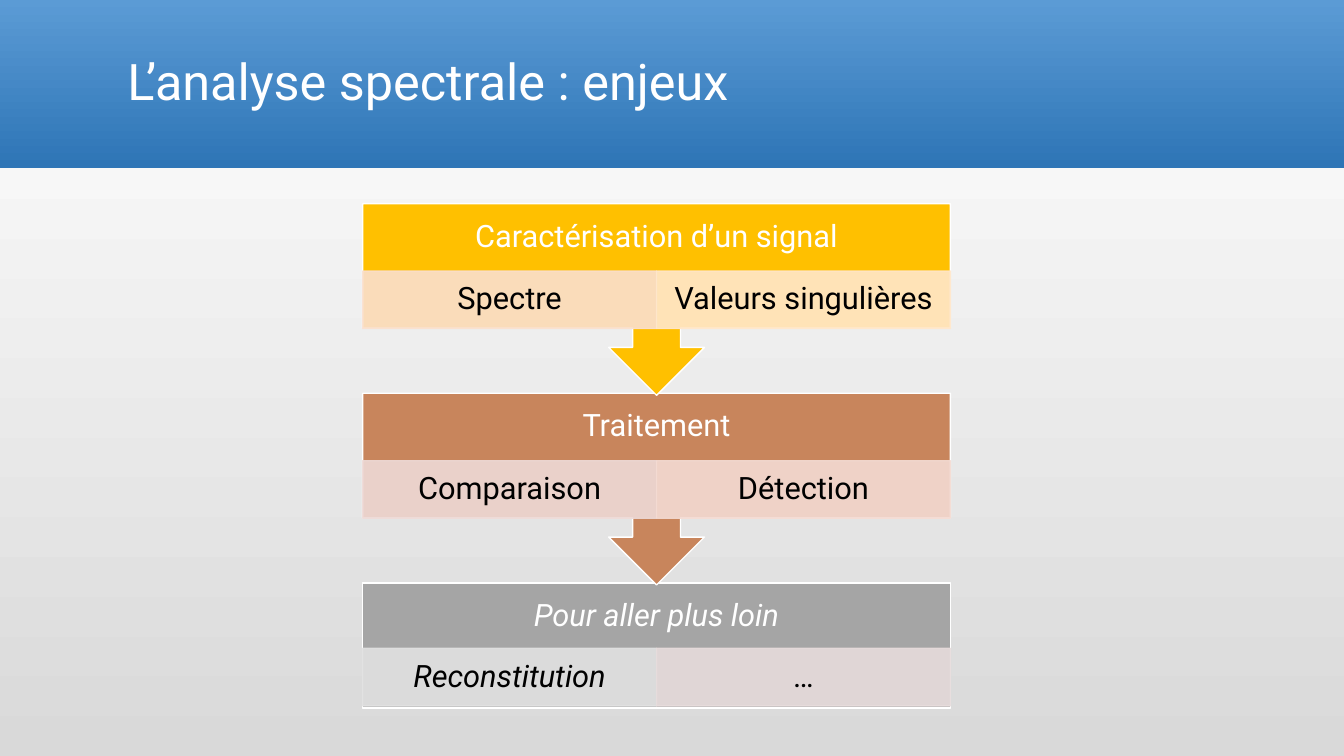
"""Build the slide on the aims of spectral analysis."""
import dataclasses

import lxml.etree
import pptx
import pptx.dml.color
import pptx.enum.shapes
import pptx.enum.text
import pptx.oxml.ns
import pptx.util

Cm = pptx.util.Cm
Pt = pptx.util.Pt
Shape = pptx.enum.shapes.MSO_SHAPE
Align = pptx.enum.text.PP_ALIGN


@dataclasses.dataclass(frozen=True)
class Theme:
    """Colours, font and type sizes of the slide."""
    font: str = "Roboto"
    title_size: int = 36
    body_size: int = 22
    light: str = "FFFFFF"
    dark: str = "000000"
    band: tuple = ("5B9BD5", "2E75B6")
    background: tuple = ("D9D9D9", "FFFFFF")
    stages: tuple = ("FFC000", "C8855C", "A5A5A5")
    cells: tuple = (("FAE0CF", "FFE7CB"), ("EEDAD7", "F4DBD3"), ("E1E1E1", "E7DCDC"))
    cell_opacity: int = 90


STAGES = (
    ("Caractérisation d’un signal", ("Spectre", "Valeurs singulières")),
    ("Traitement", ("Comparaison", "Détection")),
    ("Pour aller plus loin", ("Reconstitution", "…")),
)
ITALIC = {"Pour aller plus loin", "Reconstitution"}
LEFT, TOP, WIDTH, PITCH = 9.14, 5.13, 14.81, 4.78
HEADER_HEIGHT, CELL_HEIGHT = 1.7, 1.45
CALLOUT_HEIGHT, LAST_HEIGHT, LAST_CELL_OFFSET = 4.83, 3.15, 1.65


def rgb(value):
    """Return the colour object for a hexadecimal value."""
    return pptx.dml.color.RGBColor.from_string(value)


def write_text(shape, text, *, font, size, color, align=Align.CENTER,
               italic=False, margins=(0.42, 0.08)):
    """Write one formatted paragraph, centred vertically, into a shape."""
    frame = shape.text_frame
    frame.word_wrap = True
    frame.vertical_anchor = pptx.enum.text.MSO_ANCHOR.MIDDLE
    frame.margin_left = frame.margin_right = Cm(margins[0])
    frame.margin_top = frame.margin_bottom = Cm(margins[1])
    paragraph = frame.paragraphs[0]
    paragraph.alignment = align
    paragraph.line_spacing = 0.9
    run = paragraph.add_run()
    run.text = text
    run.font.name = font
    run.font.size = Pt(size)
    run.font.italic = italic
    run.font.color.rgb = rgb(color)


def set_gradient(fill, colors, angle):
    """Apply a two-colour linear gradient."""
    fill.gradient()
    fill.gradient_angle = angle
    for stop, color in zip(fill.gradient_stops, colors):
        stop.color.rgb = rgb(color)


def set_opacity(shape, percent):
    """Make the fill and line of a shape partly transparent."""
    for color in shape.element.spPr.iter(pptx.oxml.ns.qn("a:srgbClr")):
        alpha = lxml.etree.SubElement(color, pptx.oxml.ns.qn("a:alpha"))
        alpha.set("val", str(percent * 1000))


class SlideBuilder:
    """Hold the theme and the current slide, and draw its elements."""

    def __init__(self, slide, theme):
        """Keep the slide and theme, and paint the background."""
        self.slide = slide
        self.theme = theme
        set_gradient(slide.background.fill, theme.background, 90)

    def block(self, kind, left, top, width, height, color):
        """Draw a filled shape with a thin outline."""
        shape = self.slide.shapes.add_shape(kind, Cm(left), Cm(top), Cm(width), Cm(height))
        shape.shadow.inherit = False
        shape.fill.solid()
        shape.fill.fore_color.rgb = rgb(color)
        shape.line.color.rgb = rgb(self.theme.light)
        shape.line.width = Pt(1)
        return shape

    def label(self, text, left, top, width, height, **style):
        """Draw a text box."""
        box = self.slide.shapes.add_textbox(Cm(left), Cm(top), Cm(width), Cm(height))
        write_text(box, text, font=self.theme.font, color=self.theme.light, **style)

    def title(self, text, width):
        """Draw the title on its gradient band."""
        band = self.block(Shape.RECTANGLE, 0, 0, width, 4.23, self.theme.band[0])
        set_gradient(band.fill, self.theme.band, 270)
        band.line.fill.background()
        self.label(text, 2.96, 0.28, 29, 3.68, size=self.theme.title_size,
                   align=Align.LEFT, margins=(0.25, 0.13))

    def cell(self, text, left, top, color):
        """Draw one half-width translucent cell."""
        shape = self.block(Shape.RECTANGLE, left, top, WIDTH / 2, CELL_HEIGHT, color)
        shape.line.color.rgb = rgb(color)
        set_opacity(shape, self.theme.cell_opacity)
        write_text(shape, text, font=self.theme.font, size=self.theme.body_size,
                   color=self.theme.dark, italic=text in ITALIC)

    def stage(self, index):
        """Draw a stage: its outline, its heading and its two cells."""
        heading, entries = STAGES[index]
        top = TOP + index * PITCH
        is_last = index == len(STAGES) - 1
        kind = Shape.RECTANGLE if is_last else Shape.UP_ARROW_CALLOUT
        height = LAST_HEIGHT if is_last else CALLOUT_HEIGHT
        outline = self.block(kind, LEFT, top, WIDTH, height, self.theme.stages[index])
        outline.rotation = 0 if is_last else 180
        self.label(heading, LEFT, top, WIDTH, HEADER_HEIGHT, size=self.theme.body_size,
                   italic=heading in ITALIC, margins=(0.42, 0.42))
        cell_top = top + (LAST_CELL_OFFSET if is_last else HEADER_HEIGHT)
        for column, (text, color) in enumerate(zip(entries, self.theme.cells[index])):
            self.cell(text, LEFT + column * WIDTH / 2, cell_top, color)


def main():
    """Create and save the presentation."""
    presentation = pptx.Presentation()
    presentation.slide_width = Cm(33.87)
    presentation.slide_height = Cm(19.05)
    slide = presentation.slides.add_slide(presentation.slide_layouts[6])
    builder = SlideBuilder(slide, Theme())
    builder.title("L’analyse spectrale : enjeux", 33.87)
    for index in reversed(range(len(STAGES))):
        builder.stage(index)
    presentation.save("out.pptx")


if __name__ == "__main__":
    main()
